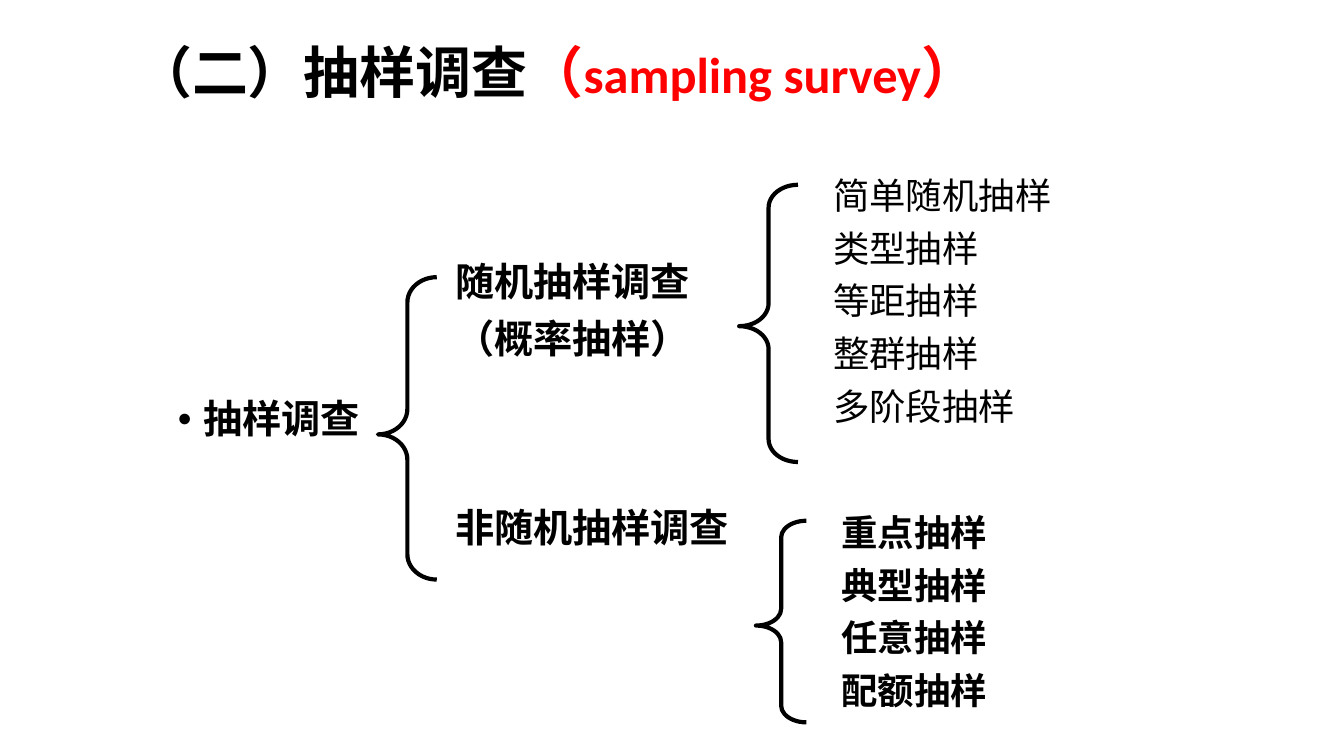
import pptx
import pptx.dml.color
import pptx.enum.shapes
import pptx.enum.text
import pptx.oxml
import pptx.oxml.ns
import pptx.util

PX = 9525
CJK, LATIN = "Noto Sans CJK SC", "Calibri"
BLACK, RED = "000000", "FF0000"

TITLE_BOX = (120, 32, 848, 80)
TITLE_RUNS = [
    ("（二）抽样调查", 40, CJK, BLACK),
    ("（", 40, LATIN, RED),
    ("sampling survey", 36, LATIN, RED),
    ("）", 40, LATIN, RED),
]
ROOT = ("抽样调查", (160, 376, 216, 100))
BRANCHES = (["随机抽样调查", "（概率抽样）", "非随机抽样调查"], (424, 240, 312, 324))
NONRANDOM = (["重点抽样", "典型抽样", "任意抽样", "配额抽样"], (792, 481, 368, 239))
RANDOM = (["简单随机抽样", "类型抽样", "等距抽样", "整群抽样", "多阶段抽样"], (784, 160, 296, 301))
BRACES = [
    ((360, 264, 56, 288), (0.43, 0.52)),
    ((704, 176, 56, 264), (0.39, 0.51)),
    ((720, 496, 48, 192), (0.33, 0.52)),
]


def color(value):
    """Turn a hex string into a colour."""
    return pptx.dml.color.RGBColor.from_string(value)


def px(box):
    """Scale a box from px to EMU."""
    return [pptx.util.Emu(length * PX) for length in box]


def add_run(paragraph, text, size=28, font=LATIN, fill=BLACK, bold=True):
    """Add formatted text to a paragraph."""
    run = paragraph.add_run()
    run.text = text
    run.font.size = pptx.util.Pt(size)
    run.font.name = font
    run.font.bold = bold
    run.font.color.rgb = color(fill)


def add_lines(slide, lines, box, gaps, **text_format):
    """Add a text box with one paragraph per line and a gap before each."""
    frame = slide.shapes.add_textbox(*px(box)).text_frame
    frame.word_wrap = True
    for index, (line, gap) in enumerate(zip(lines, gaps)):
        paragraph = frame.add_paragraph() if index else frame.paragraphs[0]
        paragraph.space_before = pptx.util.Pt(gap)
        add_run(paragraph, line, **text_format)
    return frame


def add_title(slide):
    """Fill and place the title placeholder."""
    title = slide.shapes.title
    title.left, title.top, title.width, title.height = px(TITLE_BOX)
    title.text_frame.vertical_anchor = pptx.enum.text.MSO_ANCHOR.MIDDLE
    paragraph = title.text_frame.paragraphs[0]
    paragraph.alignment = pptx.enum.text.PP_ALIGN.LEFT
    paragraph.line_spacing = 0.9
    for text, size, font, fill in TITLE_RUNS:
        add_run(paragraph, text, size=size, font=font, fill=fill)


def add_root(slide):
    """Add the bulleted root of the tree."""
    text, box = ROOT
    paragraph = add_lines(slide, [text], box, [0]).paragraphs[0]
    paragraph.line_spacing = 0.9
    properties = paragraph._p.get_or_add_pPr()
    properties.set("marL", str(24 * PX))
    properties.set("indent", str(-24 * PX))
    for tag, name, value in (("a:buFont", "typeface", "Arial"), ("a:buChar", "char", "•")):
        bullet = pptx.oxml.parse_xml(f"<{tag} {pptx.oxml.ns.nsdecls('a')}/>")
        bullet.set(name, value)
        properties.append(bullet)


def add_brace(slide, box, adjustments):
    """Add an unfilled left brace."""
    brace = slide.shapes.add_shape(pptx.enum.shapes.MSO_SHAPE.LEFT_BRACE, *px(box))
    brace.shadow.inherit = False
    brace.fill.background()
    brace.line.color.rgb = color(BLACK)
    brace.line.width = pptx.util.Pt(3)
    for index, value in enumerate(adjustments):
        brace.adjustments[index] = value


def main():
    """Build the slide and save it."""
    presentation = pptx.Presentation()
    presentation.slide_width, presentation.slide_height = px((1280, 720))
    slide = presentation.slides.add_slide(presentation.slide_layouts[5])
    add_title(slide)
    add_root(slide)
    add_lines(slide, *BRANCHES, [0, 7, 102])
    add_lines(slide, *NONRANDOM, [0] + [6.5] * 3, size=26)
    add_lines(slide, *RANDOM, [0] + [6.5] * 4, size=26, font=CJK, bold=False)
    for box, adjustments in BRACES:
        add_brace(slide, box, adjustments)
    presentation.save("out.pptx")


if __name__ == "__main__":
    main()
